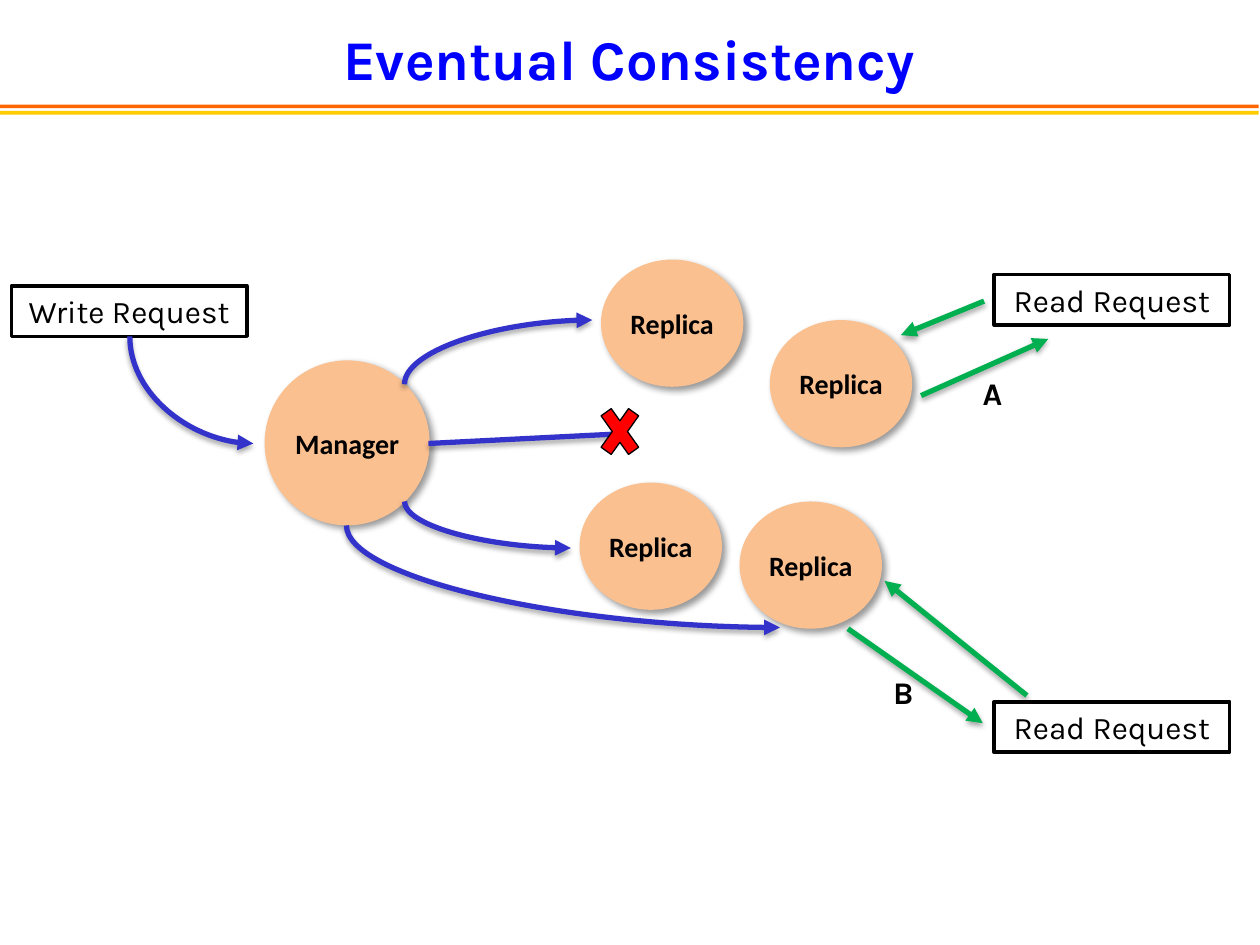
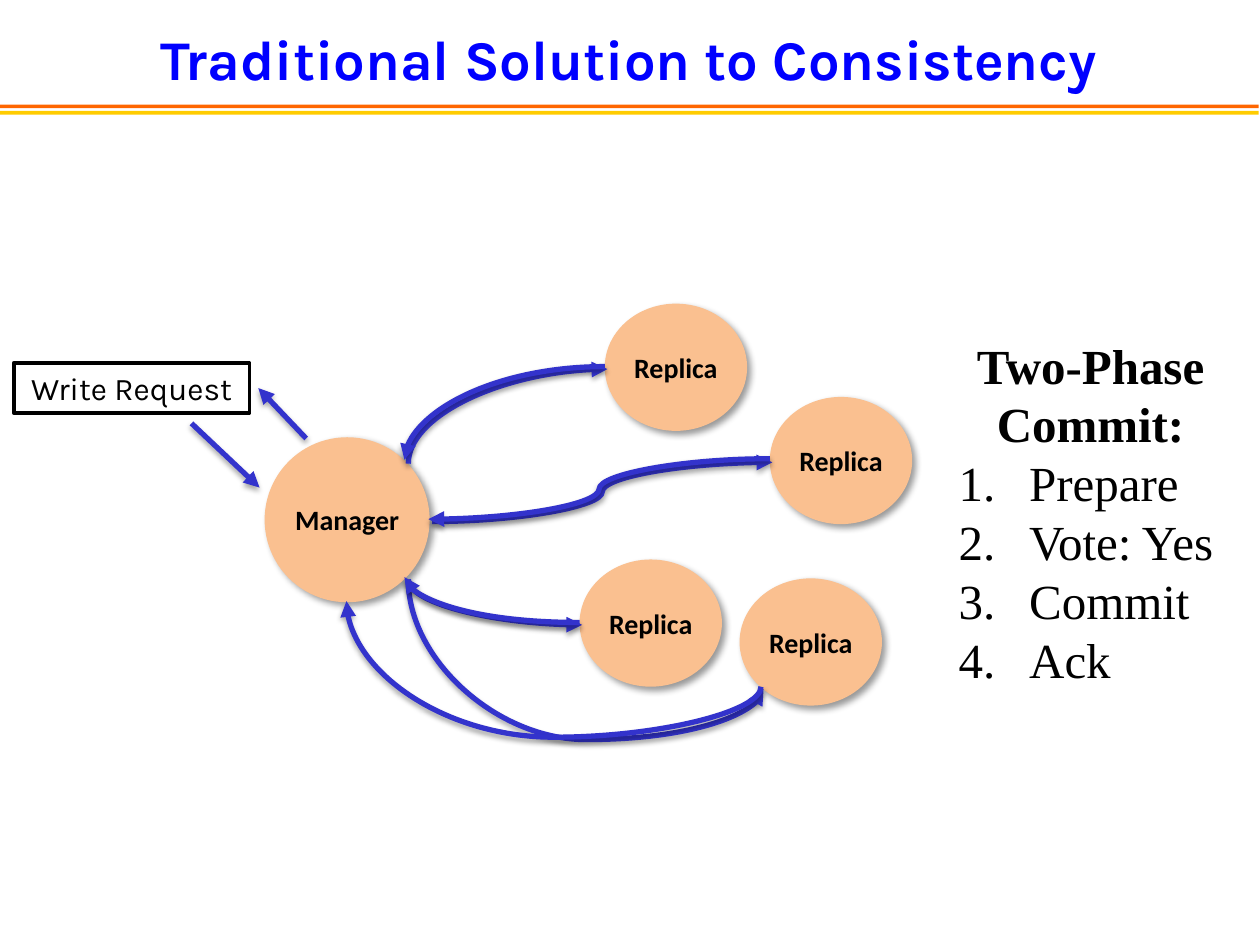
import dataclasses

import lxml.etree
import pptx
import pptx.dml.color
import pptx.enum.shapes
import pptx.enum.text
import pptx.oxml.ns
import pptx.util

SHAPE = pptx.enum.shapes.MSO_SHAPE
CONNECTOR = pptx.enum.shapes.MSO_CONNECTOR
ALIGN = pptx.enum.text.PP_ALIGN
ANCHOR = pptx.enum.text.MSO_ANCHOR

# The slide is a grid of 100 columns and 75 rows
WIDTH, HEIGHT = pptx.util.Inches(10), pptx.util.Inches(7.5)
COLUMN, ROW = WIDTH / 100, HEIGHT / 75


@dataclasses.dataclass(frozen=True)
class Theme:
    title: str = "0000FF"
    band_upper: str = "FF6600"
    band_lower: str = "FFCC00"
    node: str = "FAC090"
    update_arrow: str = "3333CC"
    query_arrow: str = "00B050"
    failure: str = "FF0000"
    ink: str = "000000"
    paper: str = "FFFFFF"
    title_font = {"name": "Karla", "size": pptx.util.Pt(32), "bold": True}
    node_font = {"name": "Calibri", "size": pptx.util.Pt(16), "bold": True}
    request_font = {"name": "Karla", "size": pptx.util.Pt(18), "bold": False}
    letter_font = {"name": "Karla", "size": pptx.util.Pt(18), "bold": True}
    heading_font = {"name": "Times New Roman", "size": pptx.util.Pt(28), "bold": True}
    step_font = {"name": "Times New Roman", "size": pptx.util.Pt(28), "bold": False}
    # Shadows: opacity in percent, blur and distance in points, angle in degrees
    node_shadow = (40, 4, 3, 45)
    arrow_shadow = (35, 3.1, 1.8, 90)


THEME = Theme()

# Rotation and flips of a curve, by first direction, then (goes right, goes down)
TURNS = {
    "vertical": {(True, True): (270, "H"), (True, False): (90, "HV"), (False, False): (90, "H")},
    "horizontal": {(True, False): (0, "V"), (False, True): (180, "V"), (False, False): (180, "")},
}


# ---- Formatting helpers ----
def rgb(code):
    return pptx.dml.color.RGBColor.from_string(code)


def grid(left, top, width, height):
    return round(left * COLUMN), round(top * ROW), round(width * COLUMN), round(height * ROW)


def apply(target, values):
    for name, value in values.items():
        setattr(target, name, value)


def child(parent, tag, **attributes):
    element = lxml.etree.SubElement(parent, pptx.oxml.ns.qn(tag))
    for name, value in attributes.items():
        element.set(name, str(value))
    return element


def cast_shadow(effects, shadow):
    opacity, blur, distance, angle = shadow
    outer = child(effects, "a:outerShdw", blurRad=pptx.util.Pt(blur), dist=pptx.util.Pt(distance),
                  dir=angle * 60000, algn="ctr", rotWithShape=0)
    child(child(outer, "a:srgbClr", val=THEME.ink), "a:alpha", val=opacity * 1000)


def fill_paragraph(paragraph, text, font, color=THEME.ink, align=ALIGN.CENTER):
    paragraph.alignment = align
    run = paragraph.add_run()
    run.text = text
    apply(run.font, font)
    run.font.color.rgb = rgb(color)


# ---- Kinds of element ----
def add_figure(slide, kind, box, fill, line_width=0):
    figure = slide.shapes.add_shape(kind, *grid(*box))
    figure.shadow.inherit = False
    figure.fill.solid()
    figure.fill.fore_color.rgb = rgb(fill)
    if line_width:
        figure.line.color.rgb = rgb(THEME.ink)
        figure.line.width = pptx.util.Pt(line_width)
    else:
        figure.line.fill.background()
    return figure


def add_node(slide, name, box):
    node = add_figure(slide, SHAPE.OVAL, box, THEME.node)
    cast_shadow(node._element.spPr.find(pptx.oxml.ns.qn("a:effectLst")), THEME.node_shadow)
    apply(node.text_frame, {"margin_left": 0, "margin_right": 0, "margin_top": 0,
                            "margin_bottom": 0, "vertical_anchor": ANCHOR.MIDDLE})
    fill_paragraph(node.text_frame.paragraphs[0], name, THEME.node_font)


def add_replica(slide, left, top):
    add_node(slide, "Replica", (left, top, 11.3, 10.1))


def add_request(slide, text, left, top):
    request = add_figure(slide, SHAPE.RECTANGLE, (left, top, 18.7, 4), THEME.paper, 2)
    apply(request.text_frame, {"word_wrap": True, "vertical_anchor": ANCHOR.TOP})
    fill_paragraph(request.text_frame.paragraphs[0], text, THEME.request_font)


def add_text(slide, box, anchor=ANCHOR.TOP):
    frame = slide.shapes.add_textbox(*grid(*box)).text_frame
    apply(frame, {"word_wrap": True, "vertical_anchor": anchor})
    return frame


def add_letter(slide, letter, left, top):
    frame = add_text(slide, (left, top, 2.2, 4))
    fill_paragraph(frame.paragraphs[0], letter, THEME.letter_font)


def bend(arrow, start, end, first, overshoot):
    """Turn a connector so that it leaves in the first direction."""
    (x1, y1), (x2, y2) = start, end
    rotation, flips = TURNS[first][x2 > x1, y2 > y1]
    width, height = abs(x2 - x1), abs(y2 - y1)
    if first == "vertical":
        width, height = height, width
    box = grid((x1 + x2 - width) / 2, (y1 + y2 - height) / 2, width, height)
    apply(arrow, dict(zip(("left", "top", "width", "height"), box)))
    properties = arrow._element.spPr
    frame = properties.find(pptx.oxml.ns.qn("a:xfrm"))
    frame.set("rot", str(rotation * 60000))
    for axis in "HV":
        frame.set("flip" + axis, str(int(axis in flips)))
    geometry = properties.find(pptx.oxml.ns.qn("a:prstGeom"))
    if overshoot is None:
        geometry.set("prst", "curvedConnector2")
    else:
        guides = geometry.find(pptx.oxml.ns.qn("a:avLst"))
        child(guides, "a:gd", name="adj1", fmla=f"val {round(overshoot * 100000)}")


def add_arrow(slide, start, end, first=None, overshoot=None, color=THEME.update_arrow):
    kind = CONNECTOR.CURVE if first else CONNECTOR.STRAIGHT
    arrow = slide.shapes.add_connector(kind, *grid(*start, *end))
    if first:
        bend(arrow, start, end, first, overshoot)
    arrow.line.color.rgb = rgb(color)
    arrow.line.width = pptx.util.Pt(3)
    properties = arrow._element.spPr
    child(properties.find(pptx.oxml.ns.qn("a:ln")), "a:tailEnd", type="triangle")
    cast_shadow(child(properties, "a:effectLst"), THEME.arrow_shadow)


def add_steps(slide, heading, steps, box):
    frame = add_text(slide, box)
    fill_paragraph(frame.paragraphs[0], heading, THEME.heading_font)
    indent = round(5.6 * COLUMN)
    for step in steps:
        paragraph = frame.add_paragraph()
        fill_paragraph(paragraph, step, THEME.step_font, align=ALIGN.LEFT)
        properties = paragraph._p.get_or_add_pPr()
        properties.set("marL", str(indent))
        properties.set("indent", str(-indent))
        child(properties, "a:buAutoNum", type="arabicPeriod")


# ---- What the slides share ----
def add_titled_slide(deck, title):
    slide = deck.slides.add_slide(deck.slide_layouts[6])
    for top, color in ((8.3, THEME.band_upper), (8.8, THEME.band_lower)):
        add_figure(slide, SHAPE.RECTANGLE, (0, top, 99.9, 0.3), color)
    frame = add_text(slide, (0, 1.7, 99.9, 5.8), ANCHOR.MIDDLE)
    fill_paragraph(frame.paragraphs[0], title, THEME.title_font, THEME.title)
    return slide


def add_network(slide, top, upper_replica, request_left):
    """Manager, four replicas and the write request; top is the row of the request."""
    add_node(slide, "Manager", (21, top + 5.9, 13.1, 13.1))
    add_replica(slide, *upper_replica)
    for left, drop in ((61.1, 2.7), (58.7, 17.1), (46, 15.6)):
        add_replica(slide, left, top + drop)
    add_request(slide, "Write Request", request_left, top)


# ---- Slides ----
def build_eventual(deck):
    slide = add_titled_slide(deck, "Eventual Consistency")
    add_network(slide, 22.7, (47.7, 20.6), 0.9)

    # Writes, one of which fails
    for start, end in (
        ((10.3, 26.7), (20.1, 35.2)),
        ((32.1, 30.5), (47, 25.4)),
        ((27.5, 41.7), (61.9, 49.8)),
        ((32.1, 39.8), (45.3, 43.5)),
    ):
        add_arrow(slide, start, end, "vertical")
    add_arrow(slide, (34, 35.2), (49.9, 34.4))
    add_figure(slide, SHAPE.MATH_MULTIPLY, (47.1, 31.3, 4.2, 5.9), THEME.failure, 0.75)

    # Reads and their answers
    for top in (21.8, 55.7):
        add_request(slide, "Read Request", 78.9, top)
    for start, end in (
        ((78.1, 23.9), (71.5, 26.6)),
        ((73.1, 31.4), (83.2, 26.9)),
        ((81.5, 55.2), (70.2, 46.1)),
        ((67.3, 49.9), (78, 57.4)),
    ):
        add_arrow(slide, start, end, color=THEME.query_arrow)
    add_letter(slide, "A", 77, 29.2)
    add_letter(slide, "B", 69.9, 52.9)


def build_traditional(deck):
    slide = add_titled_slide(deck, "Traditional Solution to Consistency")
    add_network(slide, 28.8, (48, 24.1), 1.1)

    # Manager to replicas
    outward = (32.4, 46)
    add_arrow(slide, (32.4, 36.8), (48.2, 29.3), "vertical")
    add_arrow(slide, (34.3, 41.4), (61.3, 36.7), "horizontal", 0.5)
    add_arrow(slide, outward, (60.6, 54.7), "vertical", 1.46)
    add_arrow(slide, outward, (46.2, 49.6), "vertical")

    # Replicas back to manager
    add_arrow(slide, (48, 29.1), (32.1, 36.5), "horizontal")
    add_arrow(slide, (61.1, 36.4), (34, 41.2), "horizontal", 0.5)
    add_arrow(slide, (46, 49.4), (32.1, 45.8), "horizontal")
    add_arrow(slide, (60.4, 54.5), (27.5, 47.7), "vertical", -0.59)

    # Write request and its answer
    add_arrow(slide, (15.2, 33.6), (20.6, 38.7))
    add_arrow(slide, (24.3, 34.8), (20.5, 30.8))

    add_steps(slide, "Two-Phase Commit:", ("Prepare", "Vote: Yes", "Commit", "Ack"),
              (75.1, 26.1, 22.9, 29.3))


def main():
    deck = pptx.Presentation()
    apply(deck, {"slide_width": WIDTH, "slide_height": HEIGHT})
    build_eventual(deck)
    build_traditional(deck)
    deck.save("out.pptx")


if __name__ == "__main__":
    main()
